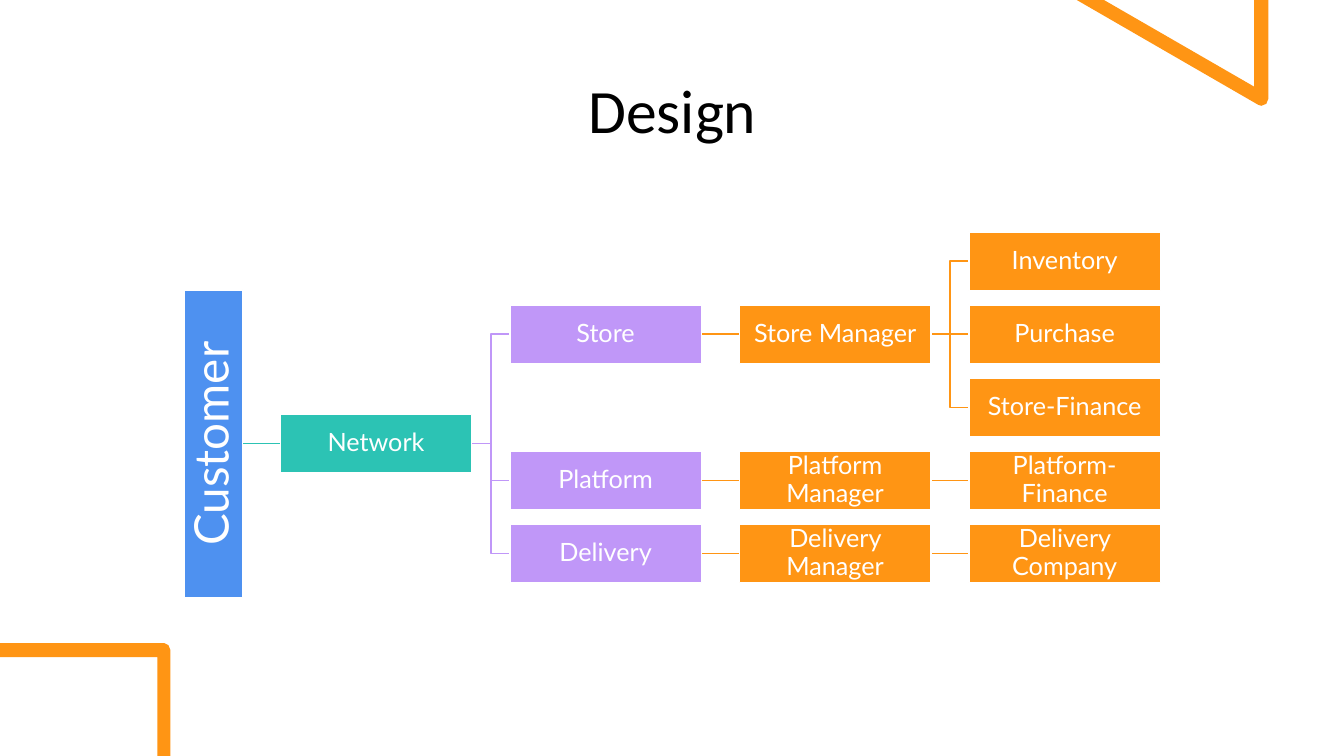
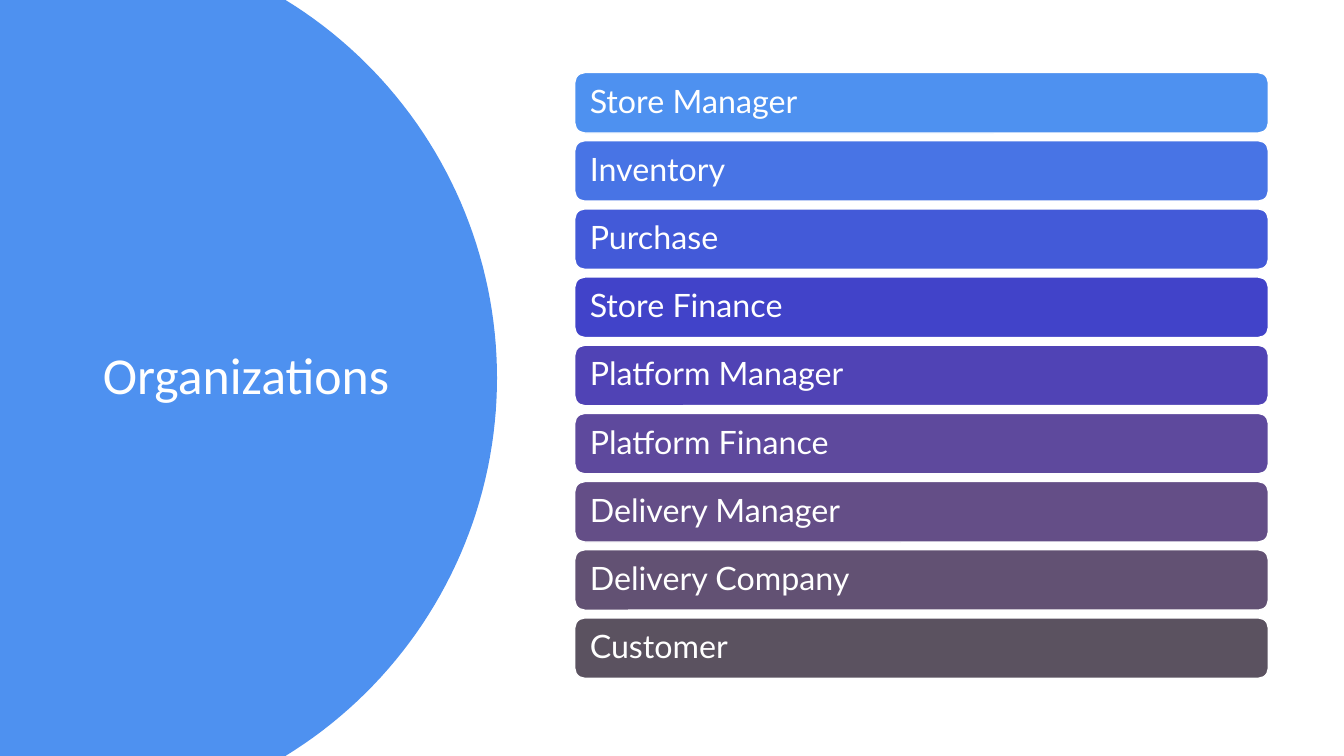
from math import asin, cos, sin
from lxml.etree import SubElement
from pptx import Presentation
from pptx.dml.color import RGBColor
from pptx.enum.shapes import MSO_CONNECTOR as Link, MSO_SHAPE as Shape
from pptx.enum.text import MSO_ANCHOR as Anchor, MSO_AUTO_SIZE as Fit, PP_ALIGN as Align
from pptx.oxml.ns import qn
from pptx.util import Inches, Pt

WHITE, BLACK = "FFFFFF", "000000"
BLUE, TEAL, PURPLE, ORANGE = "4E91F0", "2CC3B4", "C097F8", "FF9514"


def paint(target, color):
    if hasattr(target, "solid"):
        target.solid()
        target.fore_color.rgb = RGBColor.from_string(color)
    else:
        target.rgb = RGBColor.from_string(color)


def write(box, text, size, font, color, align, inset):
    frame = box.text_frame
    frame.word_wrap = True
    frame.auto_size = Fit.NONE
    frame.vertical_anchor = Anchor.MIDDLE
    frame.margin_left = frame.margin_right = Inches(inset)
    frame.margin_top = frame.margin_bottom = Inches(min(inset, 0.05))
    para = frame.paragraphs[0]
    para.alignment = align
    para.line_spacing = 0.9
    span = para.add_run()
    span.text = text
    span.font.size = Pt(size)
    span.font.name = font
    paint(span.font.color, color)


deck = Presentation()
deck.slide_width, deck.slide_height = Inches(13.33), Inches(7.5)

radius, center_x, center_y = 4.4, 0.53, 3.75
sweep = asin(center_y / radius)
angles = [sweep * (step / 40 - 1) for step in range(81)]
disc = [(0, 0)] + [(center_x + radius * cos(a), center_y + radius * sin(a)) for a in angles] + [(0, 7.5)]
triangle = [(12.58, 0), (12.44, 0), (12.44, 0.86), (10.95, 0), (10.68, 0),
            (12.48, 1.04), (12.51, 1.05), (12.56, 1.03), (12.58, 0.98)]
corner = [(0, 6.38), (1.63, 6.38), (1.67, 6.4), (1.69, 6.45), (1.69, 7.5),
          (1.56, 7.5), (1.56, 6.52), (0, 6.52)]

slides = [
    ("Design", 44, BLACK, Align.CENTER, (0.92, 0.4, 11.5, 1.45), [(triangle, ORANGE), (corner, ORANGE)]),
    ("Organizations", 37, WHITE, Align.LEFT, (0.92, 0.7, 3.23, 6.09), [(disc, BLUE)]),
]
pages = []
for text, size, color, align, place, outlines in slides:
    page = deck.slides.add_slide(deck.slide_layouts[5])
    paint(page.background.fill, WHITE)
    for points, fill in outlines:
        corners = [(Inches(x), Inches(y)) for x, y in points]
        builder = page.shapes.build_freeform(*corners[0])
        builder.add_line_segments(corners[1:], close=True)
        outline = builder.convert_to_shape()
        outline.shadow.inherit = False
        paint(outline.fill, fill)
        outline.line.fill.background()
    title = page.shapes.title
    title.left, title.top, title.width, title.height = map(Inches, place)
    write(title, text, size, "Calibri", color, align, 0.1)
    title.element.getparent().append(title.element)
    pages.append(page)
design, organizations = pages

node_width, node_height = 1.9, 0.58
column_step, row_step = 6.83 / 3, 2.9 / 4
nodes = [
    ("Network", 0, 2.5, TEAL, 2.5),
    ("Store", 1, 1, PURPLE, 2.5),
    ("Platform", 1, 3, PURPLE, 2.5),
    ("Delivery", 1, 4, PURPLE, 2.5),
    ("Store Manager", 2, 1, ORANGE, 1),
    ("Platform Manager", 2, 3, ORANGE, 3),
    ("Delivery Manager", 2, 4, ORANGE, 4),
    ("Inventory", 3, 0, ORANGE, 1),
    ("Purchase", 3, 1, ORANGE, 1),
    ("Store-Finance", 3, 2, ORANGE, 1),
    ("Platform-Finance", 3, 3, ORANGE, 3),
    ("Delivery Company", 3, 4, ORANGE, 4),
]
boxes = [("Customer", 0.59, 4.11, 3.05, node_height, Shape.RECTANGLE, BLUE, 34, 270)]
for text, column, row, color, parent_row in nodes:
    left, top = 2.78 + column * column_step, 2.3 + row * row_step
    parent_right = left - column_step + node_width
    middle = top + node_height / 2
    parent_middle = middle + (parent_row - row) * row_step
    kind = Link.STRAIGHT if row == parent_row else Link.ELBOW
    link = design.shapes.add_connector(
        kind, Inches(parent_right), Inches(parent_middle), Inches(left), Inches(middle))
    paint(link.line.fill, color)
    link.line.width = Pt(1)
    SubElement(link.element.spPr, qn("a:effectLst"))
    boxes.append((text, left, top, node_width, node_height, Shape.RECTANGLE, color, 18, 0))

bars = [
    ("Store Manager", BLUE),
    ("Inventory", "4874E5"),
    ("Purchase", "435AD8"),
    ("Store Finance", "4143C9"),
    ("Platform Manager", "5043B5"),
    ("Platform Finance", "5E499D"),
    ("Delivery Manager", "644E87"),
    ("Delivery Company", "625173"),
    ("Customer", "5B5260"),
]
bar_step = 5.41 / 8
rows = [(text, 5.7, 0.72 + index * bar_step, 6.88, 0.6, Shape.ROUNDED_RECTANGLE, color, 23, 0)
        for index, (text, color) in enumerate(bars)]

for page, group, align, inset in [(design, boxes, Align.CENTER, 0.01),
                                  (organizations, rows, Align.LEFT, 0.12)]:
    for text, left, top, width, height, kind, color, size, turn in group:
        box = page.shapes.add_shape(kind, Inches(left), Inches(top), Inches(width), Inches(height))
        box.rotation = turn
        box.shadow.inherit = False
        paint(box.fill, color)
        paint(box.line.fill, WHITE)
        box.line.width = Pt(1)
        write(box, text, size, "Lato", WHITE, align, inset)

deck.save("out.pptx")
